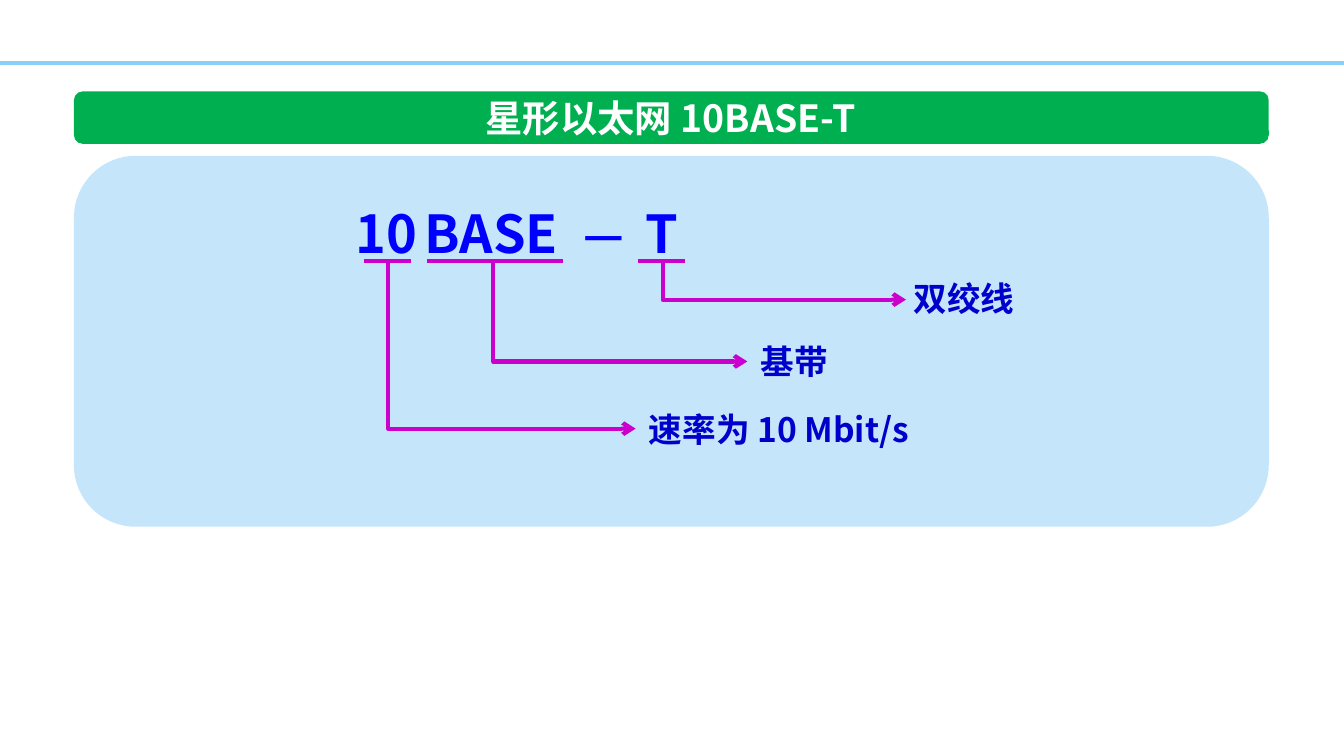
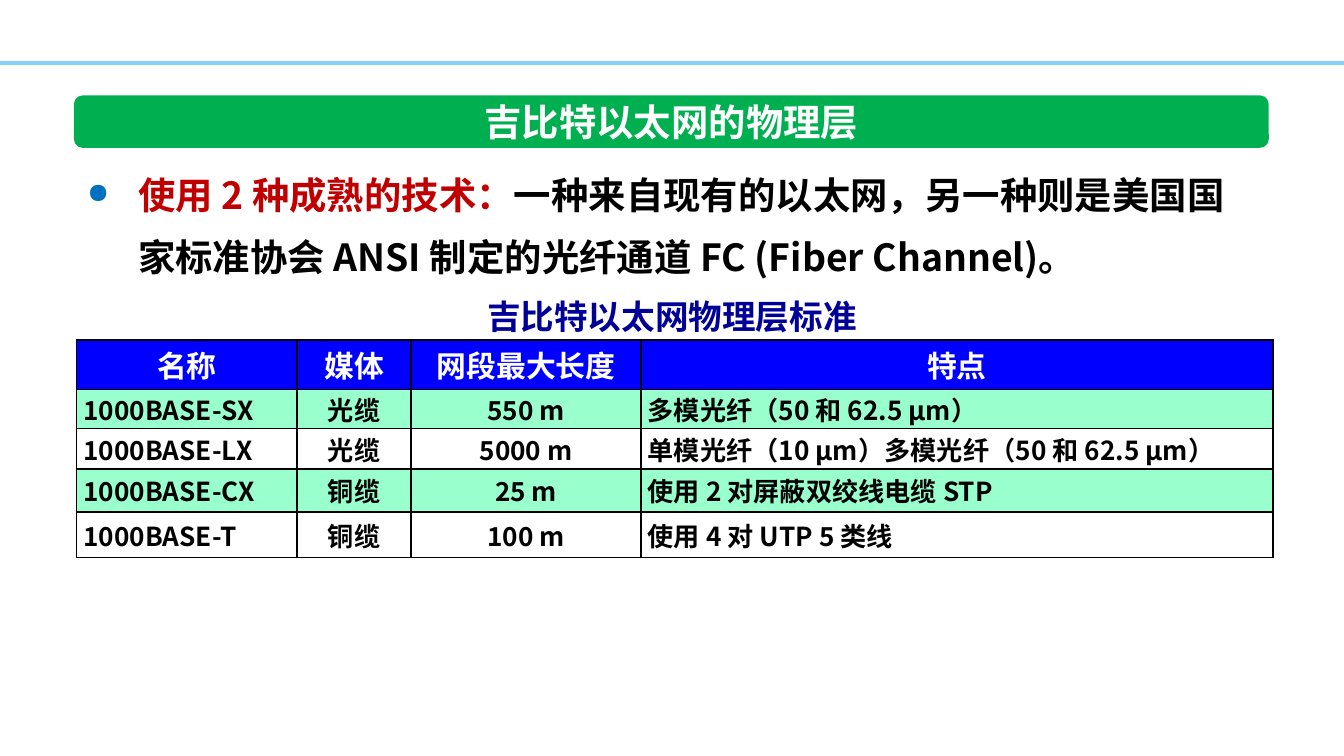
"""Build two slides on 10BASE-T and the gigabit Ethernet physical layer."""
from dataclasses import dataclass

from lxml import etree
from pptx import Presentation
from pptx import util as u
from pptx.dml.color import RGBColor
from pptx.enum import shapes, text
from pptx.oxml import ns

FONT = "Noto Sans CJK SC"
WHITE, BLACK, BLUE = "FFFFFF", "000000", "0000FF"
GREEN, MINT, PANEL, RULE = "00B050", "99FFCC", "C5E5FB", "85D1F7"
MAGENTA, NOTE, CAPTION, RED, BULLET = "CC00CC", "0000CC", "000099", "C00000", "0070C0"
LEFT, WIDTH = 0.55, 8.89
CENTER = text.PP_ALIGN.CENTER
STRAIGHT, ELBOW = shapes.MSO_CONNECTOR.STRAIGHT, shapes.MSO_CONNECTOR.ELBOW
UNDERLINE_Y, STEM_Y = 1.94, 1.93


@dataclass
class Part:
    """One piece of the standard's name."""
    label: str
    left: float
    top: float
    width: float
    height: float
    size: int = 28
    wrap: bool = False
    align: text.PP_ALIGN | None = None


@dataclass
class Callout:
    """An underline, a bent arrow and the explanation it points to."""
    label: str
    under: tuple[float, float]
    stem_x: float
    tip: tuple[float, float]
    left: float
    top: float
    width: float


PARTS = [
    Part("10", 2.55, 1.45, 0.69, 0.57),
    Part("BASE", 3.06, 1.45, 1.23, 0.57),
    Part("—", 4.24, 1.49, 0.38, 0.5, size=24, wrap=True),
    Part("T", 4.7, 1.45, 0.45, 0.57, align=CENTER),
]
CALLOUTS = [
    Callout("速率为 10 Mbit/s", (2.71, 3.06), 2.89, (4.73, 3.19), 4.73, 2.99, 2.35),
    Callout("基带", (3.18, 4.19), 3.67, (5.56, 2.69), 5.56, 2.49, 0.71),
    Callout("双绞线", (4.75, 5.1), 4.93, (6.74, 2.23), 6.7, 2.02, 0.96),
]
COLUMNS = [1.64, 0.85, 1.71, 4.7]
HEIGHTS = [0.37, 0.29, 0.3, 0.32, 0.34]
ROWS = [
    ("名称", "媒体", "网段最大长度", "特点"),
    ("1000BASE-SX", "光缆", "550 m", "多模光纤（50 和 62.5 μm）"),
    ("1000BASE-LX", "光缆", "5000 m", "单模光纤（10 μm）多模光纤（50 和 62.5 μm）"),
    ("1000BASE-CX", "铜缆", "25 m", "使用 2 对屏蔽双绞线电缆 STP"),
    ("1000BASE-T", "铜缆", "100 m", "使用 4 对 UTP 5 类线"),
]


def rgb(code: str) -> RGBColor:
    """Turn a hex string into a colour."""
    return RGBColor.from_string(code)


def child(parent, tag: str, **attrs: str):
    """Append a DrawingML element and return it."""
    return etree.SubElement(parent, ns.qn(f"a:{tag}"), attrs)


def write(tf, words: str, *, size: int, color: str, align=None):
    """Add a bold run to the first paragraph of a text frame."""
    p = tf.paragraphs[0]
    if align is not None:
        p.alignment = align
    r = p.add_run()
    r.text = words
    r.font.name, r.font.size, r.font.bold = FONT, u.Pt(size), True
    r.font.color.rgb = rgb(color)
    child(r.font._element, "ea", typeface=FONT)
    return p


def frame(s, left: float, top: float, width: float, height: float, wrap: bool = False):
    """Add a text box that grows with its text and return its frame."""
    tf = s.shapes.add_textbox(*map(u.Inches, (left, top, width, height))).text_frame
    tf.word_wrap = wrap
    tf.auto_size = text.MSO_AUTO_SIZE.SHAPE_TO_FIT_TEXT
    return tf


def rounded(s, top: float, height: float, color: str, adj: float = 0.1667) -> None:
    """Add a plain rounded block across the content width."""
    box = map(u.Inches, (LEFT, top, WIDTH, height))
    sp = s.shapes.add_shape(shapes.MSO_SHAPE.ROUNDED_RECTANGLE, *box)
    sp.adjustments[0] = adj
    sp.shadow.inherit = False
    sp.fill.solid()
    sp.fill.fore_color.rgb = rgb(color)
    sp.line.fill.background()


def connect(s, kind, x1: float, y1: float, x2: float, y2: float, color: str, weight: float):
    """Add a coloured connector without a shadow."""
    c = s.shapes.add_connector(kind, *map(u.Inches, (x1, y1, x2, y2)))
    c.line.color.rgb = rgb(color)
    c.line.width = u.Pt(weight)
    child(c._element.spPr, "effectLst")
    return c


def down_then_right(s, x1: float, y1: float, x2: float, y2: float) -> None:
    """Add an arrow that drops and then turns right."""
    c = connect(s, ELBOW, x1, y1, x2, y2, MAGENTA, 2.25)
    run, drop = x2 - x1, y2 - y1
    c.left, c.top = u.Inches((x1 + x2 - drop) / 2), u.Inches((y1 + y2 - run) / 2)
    c.width, c.height = u.Inches(drop), u.Inches(run)
    pr = c._element.spPr
    xfrm = pr.find(ns.qn("a:xfrm"))
    xfrm.set("rot", str(270 * 60000))
    xfrm.set("flipH", "1")
    pr.find(ns.qn("a:prstGeom")).set("prst", "bentConnector2")
    child(pr.find(ns.qn("a:ln")), "tailEnd", type="arrow")


def page(prs, title: str, top: float, left: float, width: float):
    """Add a blank slide with the top rule and the title band."""
    s = prs.slides.add_slide(prs.slide_layouts[6])
    connect(s, STRAIGHT, 0, 0.47, 10, 0.47, RULE, 2)
    rounded(s, top, 0.39, GREEN)
    write(frame(s, left, top - 0.02, width, 0.44), title, size=20, color=WHITE, align=CENTER)
    return s


def star_slide(prs) -> None:
    """Explain each part of the name 10BASE-T."""
    s = page(prs, "星形以太网 10BASE-T", 0.68, 3.46, 3.06)
    rounded(s, 1.16, 2.76, PANEL)
    for part in PARTS:
        tf = frame(s, part.left, part.top, part.width, part.height, part.wrap)
        write(tf, part.label, size=part.size, color=BLUE, align=part.align)
    for note in CALLOUTS:
        down_then_right(s, note.stem_x, STEM_Y, *note.tip)
        tf = frame(s, note.left, note.top, note.width, 0.4)
        write(tf, note.label, size=18, color=NOTE)
        start, end = note.under
        connect(s, STRAIGHT, start, UNDERLINE_Y, end, UNDERLINE_Y, MAGENTA, 2.25)


def paint(cell, color: str) -> None:
    """Give a cell black borders, tight margins and a fill."""
    cell.margin_left = cell.margin_right = u.Inches(0.05)
    cell.margin_top = cell.margin_bottom = 0
    cell.vertical_anchor = text.MSO_ANCHOR.MIDDLE
    pr = cell._tc.get_or_add_tcPr()
    for side in ("lnL", "lnR", "lnT", "lnB"):
        ln = child(pr, side, w=str(u.Pt(1)))
        child(child(ln, "solidFill"), "srgbClr", val=BLACK)
    cell.fill.solid()
    cell.fill.fore_color.rgb = rgb(color)


def standards_table(s) -> None:
    """Add the table of gigabit physical layer standards."""
    box = map(u.Inches, (0.57, 2.53, WIDTH, sum(HEIGHTS)))
    table = s.shapes.add_table(len(ROWS), len(COLUMNS), *box).table
    table.first_row = table.horz_banding = False
    for column, width in zip(table.columns, COLUMNS):
        column.width = u.Inches(width)
    for i, (row, height, words) in enumerate(zip(table.rows, HEIGHTS, ROWS)):
        row.height = u.Inches(height)
        header = i == 0
        fill = BLUE if header else MINT if i % 2 else WHITE
        for j, (cell, word) in enumerate(zip(row.cells, words)):
            paint(cell, fill)
            align = CENTER if header or j in (1, 2) else text.PP_ALIGN.LEFT
            write(cell.text_frame, word, size=16 if header else 14,
                  color=WHITE if header else BLACK, align=align)


def gigabit_slide(prs) -> None:
    """Present the gigabit Ethernet physical layer."""
    s = page(prs, "吉比特以太网的物理层", 0.71, 3.45, 3.09)
    tf = frame(s, LEFT, 1.11, WIDTH, 1.03, wrap=True)
    p = write(tf, "使用 2 种成熟的技术：", size=20, color=RED)
    write(tf, "一种来自现有的以太网，另一种则是美国国家标准协会 ANSI 制定的光纤通道 "
          "FC (Fiber Channel)。", size=20, color=BLACK)
    pr = p._p.get_or_add_pPr()
    pr.set("marL", str(u.Inches(0.38)))
    pr.set("indent", str(u.Inches(-0.38)))
    child(child(pr, "buClr"), "srgbClr", val=BULLET)
    child(pr, "buSzPct", val="75000")
    child(pr, "buChar", char="●")
    p.line_spacing = u.Pt(33)
    standards_table(s)
    write(frame(s, 3.51, 2.15, 2.98, 0.4), "吉比特以太网物理层标准",
          size=18, color=CAPTION, align=CENTER)


def main() -> None:
    """Build and save a 16:9 presentation."""
    prs = Presentation()
    prs.slide_width = u.Inches(10)
    prs.slide_height = u.Inches(10 * 9 / 16)
    star_slide(prs)
    gigabit_slide(prs)
    prs.save("out.pptx")


if __name__ == "__main__":
    main()
